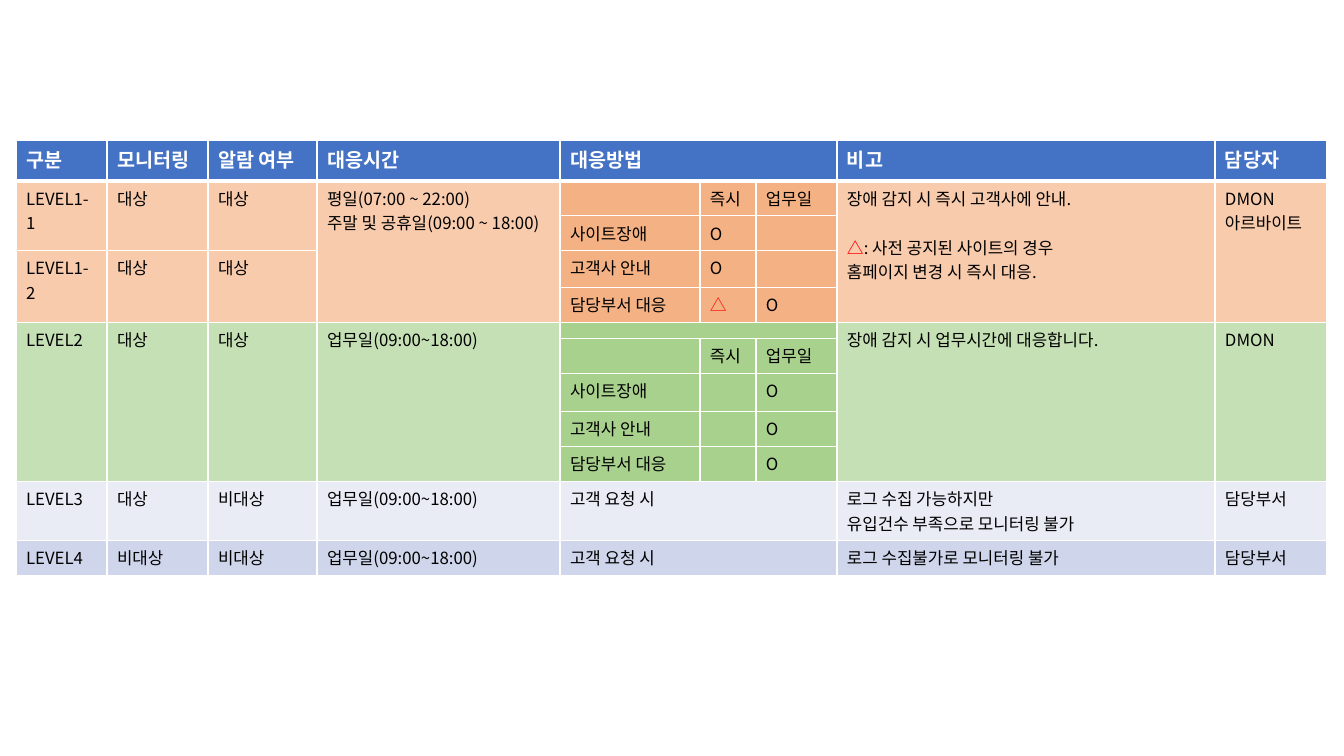
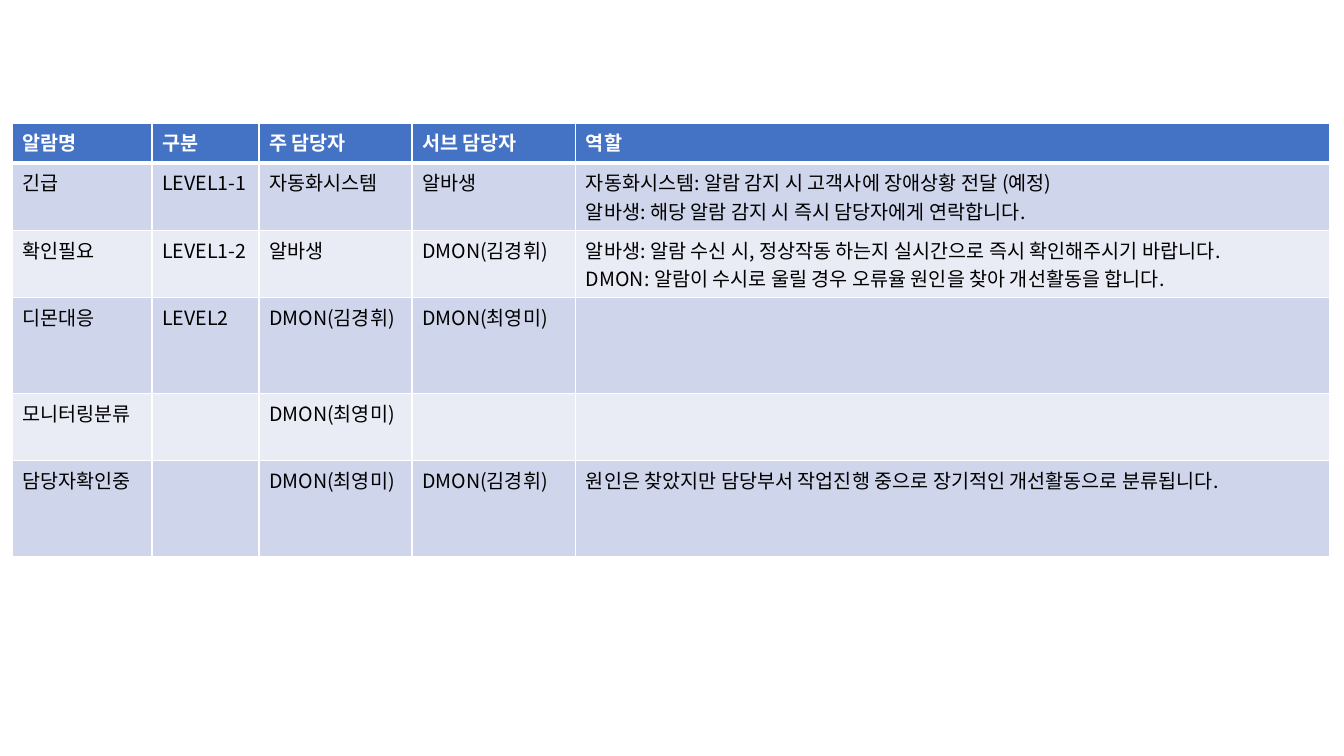
from dataclasses import dataclass

from lxml import etree
from pptx import Presentation
from pptx.dml.color import RGBColor
from pptx.oxml.ns import qn
from pptx.util import Emu, Pt

# Shared style
EMU_PER_PX = 914400 / 100.8
FONT = "Noto Sans CJK KR"
WHITE, BLACK, RED = "FFFFFF", "000000", "FF0000"
HEADER_BLUE, PALE_BLUE, MID_BLUE = "4472C4", "E9EBF5", "CFD5EA"
PALE_ORANGE, MID_ORANGE = "F8CBAD", "F4B183"
PALE_GREEN, MID_GREEN = "C5E0B4", "A9D18E"
HEADER_SIZE = 14
SLIM_ROW, SLIM_SIZE = 20, 2
THIN, THICK = 1, 3
MARK = "△"


@dataclass(frozen=True)
class Merge:
    row: int
    column: int
    rows: int = 1
    columns: int = 1


@dataclass(frozen=True)
class Row:
    height: int
    fill: str
    texts: tuple[str, ...]
    method_fill: str = ""  # fill of the method columns, where it differs


@dataclass(frozen=True)
class TableSpec:
    left: int
    top: int
    widths: tuple[int, ...]
    body_size: int
    rows: tuple[Row, ...]
    merges: tuple[Merge, ...] = ()
    method_columns: tuple[int, ...] = ()


def px(length: int) -> Emu:
    return Emu(round(length * EMU_PER_PX))


def color(value: str) -> RGBColor:
    return RGBColor.from_string(value)


def set_borders(cell, top: int, bottom: int) -> None:
    """Draw white lines on the four sides; widths are in points."""
    properties = cell._tc.get_or_add_tcPr()
    for side, width in (("L", THIN), ("R", THIN), ("T", top), ("B", bottom)):
        line = etree.SubElement(properties, qn(f"a:ln{side}"), w=str(Pt(width)))
        fill = etree.SubElement(line, qn("a:solidFill"))
        etree.SubElement(fill, qn("a:srgbClr"), val=WHITE)


def write_paragraph(para, text: str, size: int, tint: str, bold: bool) -> None:
    font = para.font
    font.size, font.bold, font.name = Pt(size), bold, FONT
    font.color.rgb = color(tint)
    defaults = para._p.get_or_add_pPr().get_or_add_defRPr()
    etree.SubElement(defaults, qn("a:ea"), typeface=FONT)

    # The warning mark is red, and bold where it leads a sentence
    before, mark, after = text.partition(MARK)
    for part in filter(None, (before, mark, after)):
        span = para.add_run()
        span.text = part
        if part == MARK:
            span.font.color.rgb = color(RED)
            span.font.bold = bool(after)


def write_cell(cell, text: str, size: int, tint: str, bold: bool) -> None:
    frame = cell.text_frame
    for index, line in enumerate(text.split("\n")):
        para = frame.add_paragraph() if index else frame.paragraphs[0]
        write_paragraph(para, line, size, tint, bold)


def add_table(page, spec: TableSpec) -> None:
    table = page.shapes.add_table(
        len(spec.rows), len(spec.widths), px(spec.left), px(spec.top),
        px(sum(spec.widths)), px(sum(row.height for row in spec.rows)),
    ).table
    for column, width in zip(table.columns, spec.widths):
        column.width = px(width)

    for row_index, row in enumerate(spec.rows):
        table.rows[row_index].height = px(row.height)
        header = row_index == 0
        for column_index, text in enumerate(row.texts):
            cell = table.cell(row_index, column_index)
            set_borders(cell, THICK if row_index == 1 else THIN,
                        THICK if header else THIN)
            inner = row.method_fill and column_index in spec.method_columns
            cell.fill.solid()
            cell.fill.fore_color.rgb = color(row.method_fill if inner else row.fill)
            size = HEADER_SIZE if header else spec.body_size
            if not text and row.height < SLIM_ROW:
                size = SLIM_SIZE
            write_cell(cell, text, size, WHITE if header else BLACK, header)

    for merge in spec.merges:
        last = table.cell(merge.row + merge.rows - 1,
                          merge.column + merge.columns - 1)
        table.cell(merge.row, merge.column).merge(last)


def method_row(height: int, fill: str, method_fill: str, method: str,
               at_once: str, workday: str,
               lead: tuple[str, ...] = ("",) * 4,
               tail: tuple[str, ...] = ("",) * 2) -> Row:
    return Row(height, fill, (*lead, method, at_once, workday, *tail), method_fill)


# Slide 1: response levels
ORANGE, GREEN = (PALE_ORANGE, MID_ORANGE), (PALE_GREEN, MID_GREEN)
WORK_HOURS = "업무일(09:00~18:00)"
LEVEL_TABLE = TableSpec(
    left=16, top=140, body_size=12,
    widths=(91, 101, 109, 243, 140, 56, 81, 378, 112),
    method_columns=(4, 5, 6),
    rows=(
        Row(41, HEADER_BLUE, ("구분", "모니터링", "알람 여부", "대응시간",
                              "대응방법", "", "", "비고", "담당자")),
        method_row(
            34, *ORANGE, "", "즉시", "업무일",
            lead=("LEVEL1-1", "대상", "대상",
                  "평일(07:00 ~ 22:00)\n주말 및 공휴일(09:00 ~ 18:00)"),
            tail=("장애 감지 시 즉시 고객사에 안내.\n\n"
                  "△: 사전 공지된 사이트의 경우\n홈페이지 변경 시 즉시 대응.",
                  "DMON\n아르바이트")),
        method_row(35, *ORANGE, "사이트장애", "O", ""),
        method_row(37, *ORANGE, "고객사 안내", "O", "",
                   lead=("LEVEL1-2", "대상", "대상", "")),
        method_row(35, *ORANGE, "담당부서 대응", MARK, "O"),
        method_row(16, *GREEN, "", "", "",
                   lead=("LEVEL2", "대상", "대상", WORK_HOURS),
                   tail=("장애 감지 시 업무시간에 대응합니다.", "DMON")),
        method_row(35, *GREEN, "", "즉시", "업무일"),
        method_row(38, *GREEN, "사이트장애", "", "O"),
        method_row(35, *GREEN, "고객사 안내", "", "O"),
        method_row(35, *GREEN, "담당부서 대응", "", "O"),
        Row(59, PALE_BLUE, ("LEVEL3", "대상", "비대상", WORK_HOURS, "고객 요청 시",
                            "", "", "로그 수집 가능하지만\n유입건수 부족으로 모니터링 불가",
                            "담당부서")),
        Row(35, MID_BLUE, ("LEVEL4", "비대상", "비대상", WORK_HOURS, "고객 요청 시",
                           "", "", "로그 수집불가로 모니터링 불가", "담당부서")),
    ),
    merges=(
        *(Merge(row, 4, columns=3) for row in (0, 5, 10, 11)),
        *(Merge(row, column, rows=2) for row in (1, 3) for column in range(3)),
        *(Merge(1, column, rows=4) for column in (3, 7, 8)),
        *(Merge(5, column, rows=5) for column in (0, 1, 2, 3, 7, 8)),
    ),
)

# Slide 2: alarm owners and roles
ALARM_TABLE = TableSpec(
    left=12, top=123, body_size=14,
    widths=(140, 107, 153, 164, 754),
    rows=(
        Row(40, HEADER_BLUE, ("알람명", "구분", "주 담당자", "서브 담당자", "역할")),
        Row(67, MID_BLUE, ("긴급", "LEVEL1-1", "자동화시스템", "알바생",
                           "자동화시스템: 알람 감지 시 고객사에 장애상황 전달 (예정)\n"
                           "알바생: 해당 알람 감지 시 즉시 담당자에게 연락합니다.")),
        Row(67, PALE_BLUE, ("확인필요", "LEVEL1-2", "알바생", "DMON(김경휘)",
                            "알바생: 알람 수신 시, 정상작동 하는지 실시간으로 즉시 "
                            "확인해주시기 바랍니다.\n"
                            "DMON: 알람이 수시로 울릴 경우 오류율 원인을 찾아 "
                            "개선활동을 합니다.")),
        Row(96, MID_BLUE, ("디몬대응", "LEVEL2", "DMON(김경휘)", "DMON(최영미)", "")),
        Row(67, PALE_BLUE, ("모니터링분류", "", "DMON(최영미)", "", "")),
        Row(96, MID_BLUE, ("담당자확인중", "", "DMON(최영미)", "DMON(김경휘)",
                           "원인은 찾았지만 담당부서 작업진행 중으로 장기적인 "
                           "개선활동으로 분류됩니다.")),
    ),
)


def main() -> None:
    deck = Presentation()
    deck.slide_width, deck.slide_height = px(1344), px(756)
    blank = deck.slide_layouts[6]
    for spec in (LEVEL_TABLE, ALARM_TABLE):
        add_table(deck.slides.add_slide(blank), spec)
    deck.save("out.pptx")


if __name__ == "__main__":
    main()
